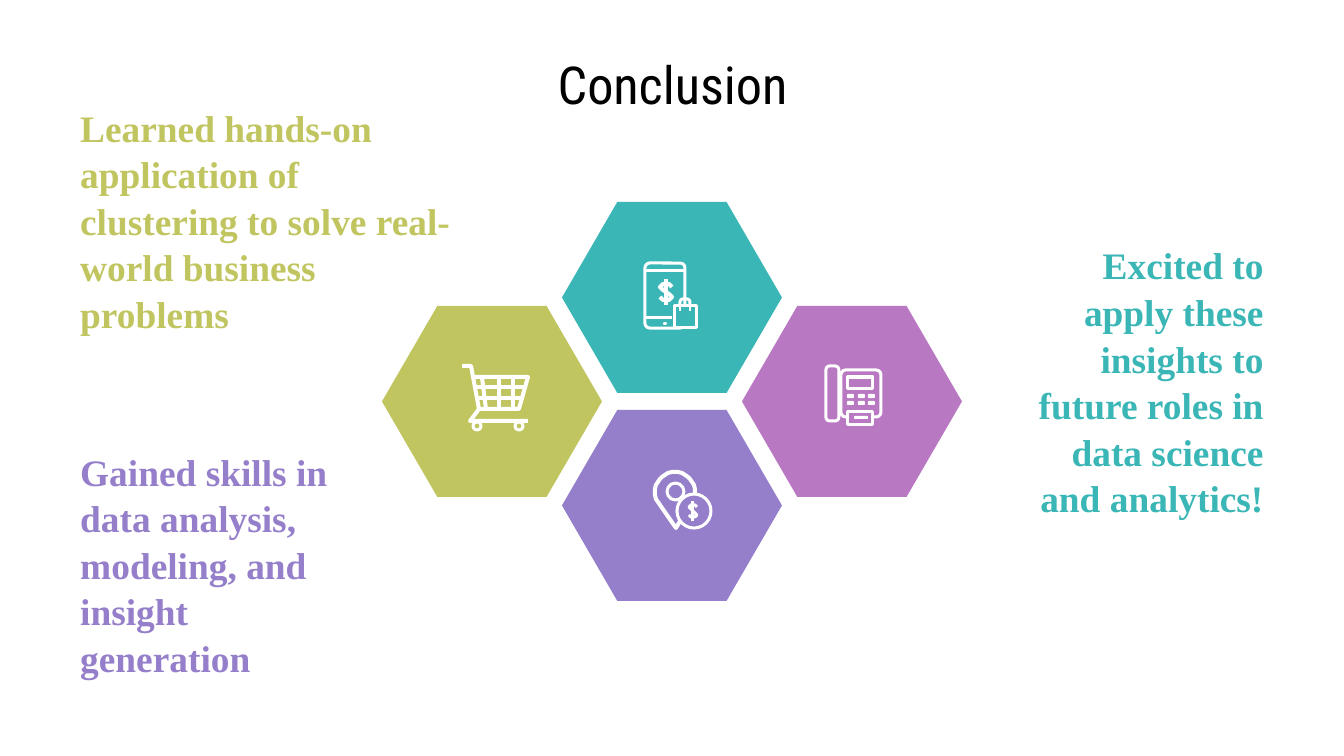
from math import cos, radians, sin

from lxml import etree
from pptx import Presentation
from pptx import util as u
from pptx.dml.color import RGBColor
from pptx.enum import shapes, text

PX = 6804  # EMU in one px, 1344 px across the slide
BLACK = RGBColor(0x00, 0x00, 0x00)
WHITE = RGBColor(0xFF, 0xFF, 0xFF)
TEAL = RGBColor(0x39, 0xB6, 0xB5)
LIME = RGBColor(0xC0, 0xC5, 0x5F)
PURPLE = RGBColor(0x95, 0x7F, 0xCA)
PINK = RGBColor(0xB8, 0x78, 0xC2)
LEFT, MID, RIGHT = text.PP_ALIGN.LEFT, text.PP_ALIGN.CENTER, text.PP_ALIGN.RIGHT
KIND = shapes.MSO_SHAPE
HEX, ROUND, RECT, OVAL = KIND.HEXAGON, KIND.ROUNDED_RECTANGLE, KIND.RECTANGLE, KIND.OVAL


def write(shape, words, size=20, font="Times New Roman", color=BLACK,
          bold=False, align=LEFT, space=1.0):
    frame = shape.text_frame
    frame.word_wrap = True
    frame.auto_size = text.MSO_AUTO_SIZE.NONE
    frame.vertical_anchor = text.MSO_ANCHOR.MIDDLE
    frame.margin_left = frame.margin_right = u.Inches(0.1)
    frame.margin_top = frame.margin_bottom = u.Inches(0.1)
    para = frame.paragraphs[0]
    para.alignment = align
    para.line_spacing = space
    run = para.add_run()
    run.text = words
    run.font.size = u.Pt(size)
    run.font.name = font
    run.font.bold = bold
    run.font.color.rgb = color


def paint(shape, fill=None, edge=None, width=3):
    """Set fill and outline; None leaves that part clear."""
    shape.shadow.inherit = False
    if fill is None:
        shape.fill.background()
    else:
        shape.fill.solid()
        shape.fill.fore_color.rgb = fill
    if edge is None:
        shape.line.fill.background()
    else:
        shape.line.color.rgb = edge
        shape.line.width = width * PX


deck = Presentation()
deck.slide_width, deck.slide_height = 1344 * PX, 756 * PX
slide = deck.slides.add_slide(deck.slide_layouts[5])
items = slide.shapes

title = items.title
title.left, title.top, title.width, title.height = [n * PX for n in (370, 60, 605, 47)]
write(title, "Conclusion", size=28, font="Roboto Condensed", align=MID)

notes = [
    ((67, 202, 409, 35), LIME, LEFT,
     "Learned hands-on application of clustering to solve real-world business problems"),
    ((67, 464, 301, 199), PURPLE, LEFT,
     "Gained skills in data analysis, modeling, and insight generation"),
    ((1011, 219, 266, 323), TEAL, RIGHT,
     "Excited to apply these insights to future roles in data science and analytics!"),
]
for box, color, align, words in notes:
    note = items.add_textbox(*[n * PX for n in box])
    write(note, words, color=color, bold=True, align=align, space=1.04)

# Hexagons, by centre
for x, y, color in [(852, 402, PINK), (672, 506, PURPLE), (672, 298, TEAL), (492, 402, LIME)]:
    cell = items.add_shape(HEX, (x - 110) * PX, (y - 96) * PX, 220 * PX, 191 * PX)
    cell.adjustments[0] = 0.29
    paint(cell, color)

# Map pin: an arc that closes at its tip
arc = [(675 + 20 * cos(radians(a)), 492 + 20 * sin(radians(a))) for a in range(150, 391, 10)]
pin = items.build_freeform(676, 528, scale=PX)
pin.add_line_segments(arc, close=True)
paint(pin.convert_to_shape(), edge=WHITE, width=4)

# Icon parts: kind, left, top, width, height, fill, edge
parts = [
    (OVAL, 667, 483, 17, 17, None, WHITE),       # pin eye
    (OVAL, 677, 494, 34, 34, PURPLE, WHITE),     # coin
    (ROUND, 645, 263, 40, 65, None, WHITE),      # mobile
    (OVAL, 663, 322, 4, 3, WHITE, None),
    (ROUND, 680, 299, 10, 20, None, WHITE),      # bag handle
    (RECT, 674, 306, 23, 22, TEAL, WHITE),       # bag
    (OVAL, 473, 422, 8, 8, LIME, WHITE),         # cart wheels
    (OVAL, 515, 422, 8, 8, LIME, WHITE),
    (ROUND, 826, 366, 13, 55, None, WHITE),      # handset
    (ROUND, 841, 370, 40, 47, None, WHITE),      # desk phone
    (RECT, 848, 377, 25, 12, None, WHITE),
    (RECT, 848, 412, 25, 13, PINK, WHITE),       # paper slip
    (ROUND, 854, 416, 14, 3, WHITE, None),
]
parts += [(ROUND, x, y, 7, 4, WHITE, None) for y in (394, 401) for x in (847, 858, 868)]
for kind, x, y, w, h, fill, edge in parts:
    part = items.add_shape(kind, x * PX, y * PX, w * PX, h * PX)
    if kind == ROUND:
        part.adjustments[0] = 0.12 if w > 20 else 0.3
    paint(part, fill, edge)

# Open strokes: width and the lines of each icon
curl = [(6, -5), (3, -8), (-3, -8), (-6, -5), (-3, -2), (3, 2), (6, 5), (3, 8), (-3, 8), (-6, 5)]
bar = [(0, -13), (0, 13)]
strokes = [
    (4, [[(666 + x, 292 + y) for x, y in line] for line in (curl, bar)]),
    (3, [[(693 + x * 0.7, 511 + y * 0.8) for x, y in line] for line in (curl, bar)]),
    (3, [[(645, 271), (685, 271)], [(645, 318), (672, 318)]]),
    (2, [[(680, 306), (680, 311)], [(690, 306), (690, 311)]]),
    (4, [[(462, 366), (471, 366), (479, 409), (519, 409), (528, 377), (474, 377)],
         [(479, 409), (470, 421), (528, 421)],
         [(476, 387), (525, 387)], [(477, 398), (522, 398)],
         [(482, 377), (486, 409)], [(499, 377), (499, 409)], [(513, 377), (513, 409)]]),
]
for width, lines in strokes:
    pen = items.build_freeform(*lines[0][0], scale=PX)
    pen.add_line_segments(lines[0][1:], close=False)
    for line in lines[1:]:
        pen.move_to(*line[0])
        pen.add_line_segments(line[1:], close=False)
    mark = pen.convert_to_shape()
    paint(mark, edge=WHITE, width=width)
    etree.SubElement(mark.line._get_or_add_ln(), mark._element.nsmap["a"].join("{}") + "round")

deck.save("out.pptx")
